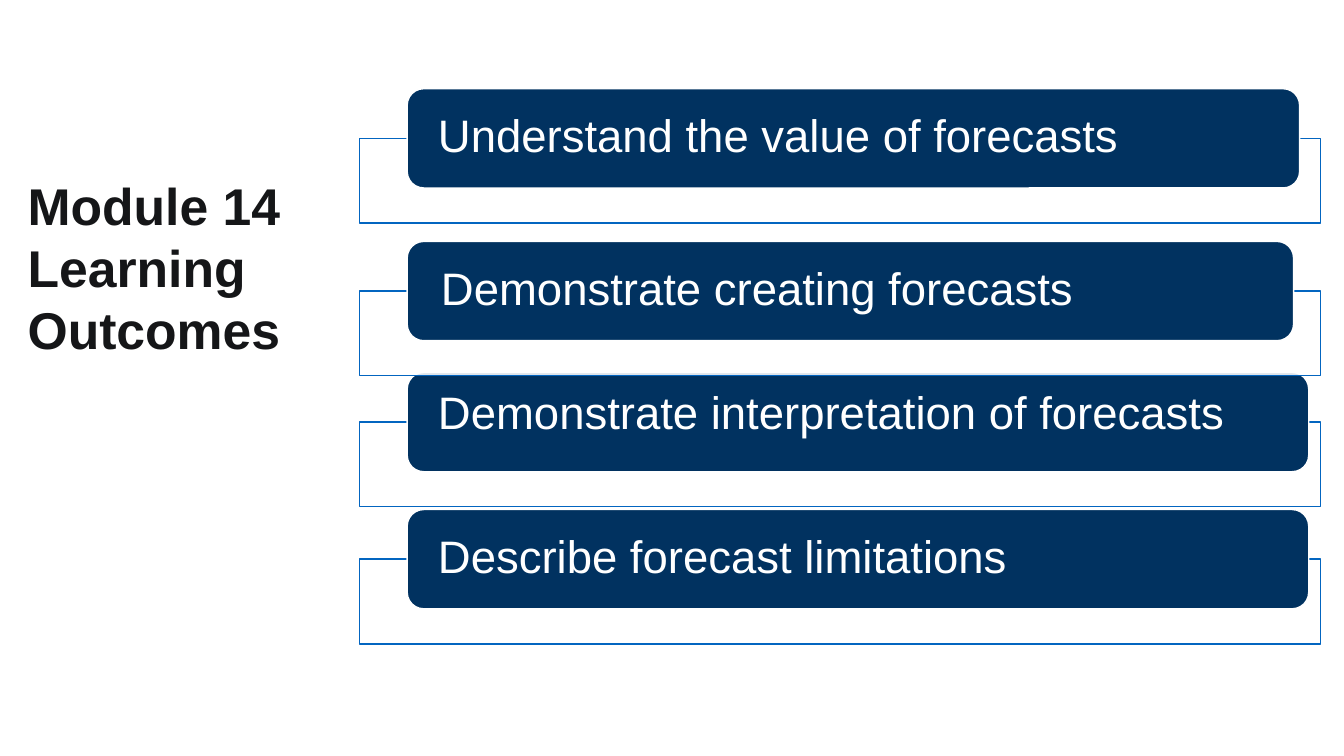
import dataclasses

import pptx
import pptx.dml.color
import pptx.enum.shapes
import pptx.enum.text
import pptx.oxml
import pptx.oxml.ns
import pptx.util

Inches = pptx.util.Inches
Pt = pptx.util.Pt
RGBColor = pptx.dml.color.RGBColor
Shapes = pptx.enum.shapes.MSO_SHAPE
AutoSize = pptx.enum.text.MSO_AUTO_SIZE


@dataclasses.dataclass(frozen=True)
class Theme:
    font: str = "Arial"
    ink: str = "151618"
    white: str = "FFFFFF"
    navy: str = "013260"
    blue: str = "0365C0"
    title_size: float = 73.8
    outcome_size: float = 65
    line_width: float = 2
    frame_opacity: int = 87


@dataclasses.dataclass(frozen=True)
class Outcome:
    text: str
    bar_top: float
    bar_width: float
    text_top: float
    text_left: float = 8.69


THEME = Theme()
FRAME_LEFT, FRAME_WIDTH, FRAME_HEIGHT = 7.13, 19.08, 1.68
BAR_LEFT, BAR_HEIGHT = 8.08, 1.97
TEXT_HEIGHT, TEXT_MARGIN = 0.98, 1.2

OUTCOME_GROUPS = [
    [Outcome("Demonstrate interpretation of forecasts", 7.39, 17.89, 7.74)],
    [Outcome("Describe forecast limitations", 10.11, 17.89, 10.59)],
    [
        Outcome("Understand the value of forecasts", 1.76, 17.71, 2.24),
        Outcome("Demonstrate creating forecasts", 4.79, 17.59, 5.28, 8.75),
    ],
]


def set_attributes(target, values):
    for name, value in values.items():
        setattr(target, name, value)


def add_box(shapes, kind, bounds, fill, line):
    shape = shapes.add_shape(kind, *map(Inches, bounds))
    shape.shadow.inherit = False
    shape.fill.solid()
    shape.fill.fore_color.rgb = RGBColor.from_string(fill)
    shape.line.color.rgb = RGBColor.from_string(line)
    shape.line.width = Pt(THEME.line_width)
    return shape


def set_opacity(shape, percent):
    color = shape.fill._xPr.find(".//" + pptx.oxml.ns.qn("a:srgbClr"))
    alpha = pptx.oxml.parse_xml(
        f'<a:alpha {pptx.oxml.ns.nsdecls("a")} val="{percent * 1000}"/>'
    )
    color.append(alpha)


def add_text(shapes, text, bounds, size, color, margin=0, bold=False,
             spacing=1.0, auto_size=AutoSize.NONE):
    box = shapes.add_textbox(*map(Inches, bounds))
    frame = box.text_frame
    set_attributes(frame, {
        "word_wrap": True,
        "auto_size": auto_size,
        "vertical_anchor": pptx.enum.text.MSO_ANCHOR.MIDDLE,
        "margin_left": Inches(margin),
        "margin_right": Inches(margin),
        "margin_top": Inches(margin),
        "margin_bottom": Inches(margin),
    })
    paragraph = frame.paragraphs[0]
    paragraph.line_spacing = spacing
    run = paragraph.add_run()
    run.text = text
    set_attributes(run.font, {"name": THEME.font, "size": Pt(size), "bold": bold})
    run.font.color.rgb = RGBColor.from_string(color)


def add_outcome(shapes, outcome):
    frame_top = outcome.bar_top + BAR_HEIGHT / 2
    frame = add_box(shapes, Shapes.RECTANGLE,
                    (FRAME_LEFT, frame_top, FRAME_WIDTH, FRAME_HEIGHT),
                    THEME.white, THEME.blue)
    set_opacity(frame, THEME.frame_opacity)
    add_box(shapes, Shapes.ROUNDED_RECTANGLE,
            (BAR_LEFT, outcome.bar_top, outcome.bar_width, BAR_HEIGHT),
            THEME.navy, THEME.white)
    add_text(shapes, outcome.text,
             (outcome.text_left, outcome.text_top,
              outcome.bar_width - TEXT_MARGIN, TEXT_HEIGHT),
             THEME.outcome_size, THEME.white, spacing=0.9,
             auto_size=AutoSize.SHAPE_TO_FIT_TEXT)


def main():
    presentation = pptx.Presentation()
    set_attributes(presentation, {
        "slide_width": Inches(26.67),
        "slide_height": Inches(15),
    })
    slide = presentation.slides.add_slide(presentation.slide_layouts[6])
    add_text(slide.shapes, "Module 14 Learning Outcomes", (0.45, 3.22, 6.21, 4.15),
             THEME.title_size, THEME.ink, margin=0.1, bold=True)
    for outcomes in OUTCOME_GROUPS:
        group = slide.shapes.add_group_shape()
        for outcome in outcomes:
            add_outcome(group.shapes, outcome)
    presentation.save("out.pptx")


if __name__ == "__main__":
    main()
